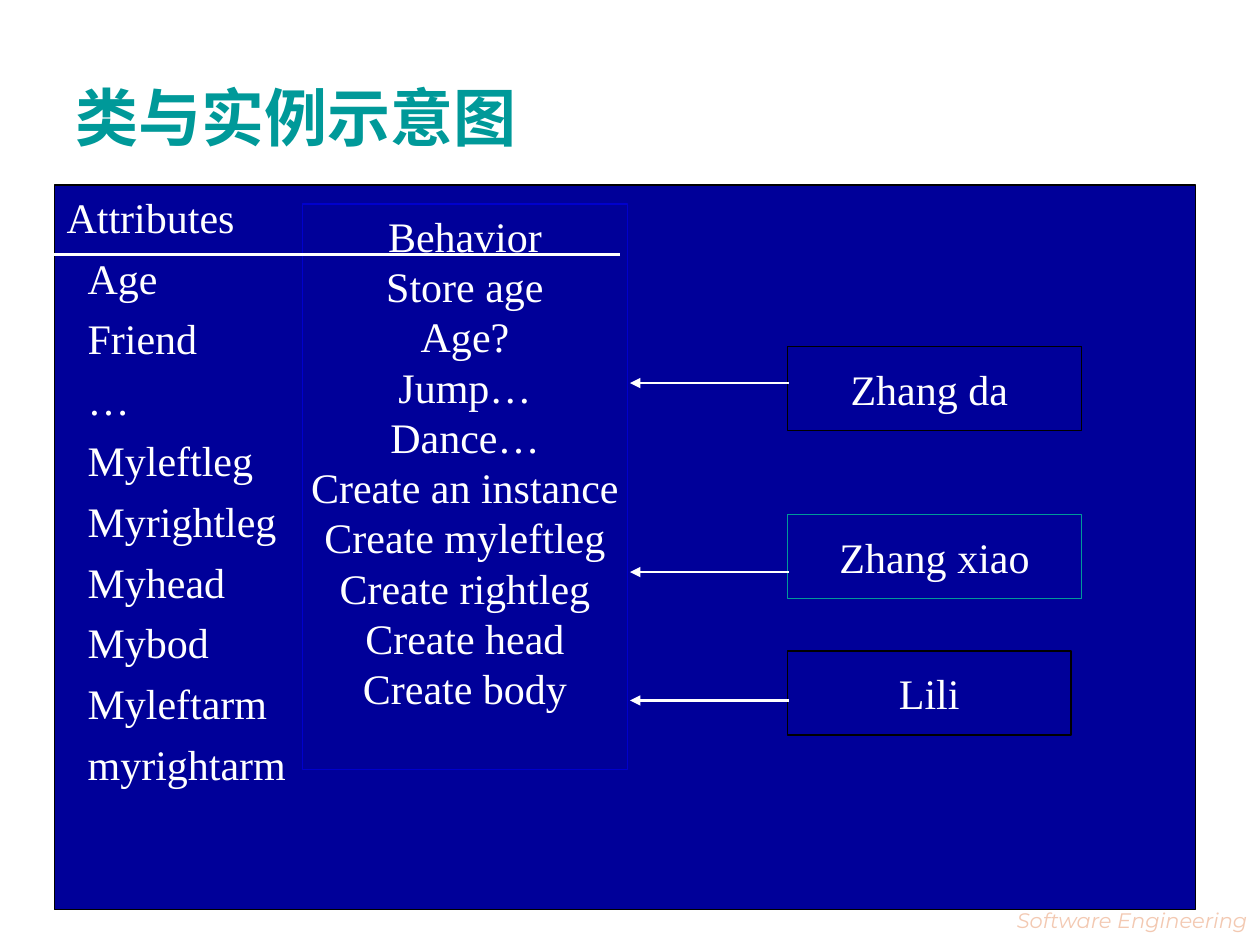
from dataclasses import dataclass

from lxml import etree
from pptx import Presentation
from pptx import util as u
from pptx.dml.color import RGBColor
from pptx.enum import shapes, text
from pptx.oxml.ns import qn


@dataclass(frozen=True)
class Theme:
    serif: str = "Times New Roman"
    sans: str = "Montserrat"
    navy: str = "000099"
    blue: str = "0000CC"
    teal: str = "009999"
    black: str = "000000"
    white: str = "FFFFFF"
    peach: str = "F3C9B2"
    title_size: float = 36
    body_size: float = 24
    footer_size: float = 12
    line_height: float = 28.75
    outline: float = 0.75
    rule: float = 1.5


class SlideBuilder:
    def __init__(self, theme, slide):
        self.theme = theme
        self.slide = slide

    def style(self, paragraph, size, color, font, align):
        paragraph.alignment = align
        paragraph.font.size = u.Pt(size)
        paragraph.font.name = font
        paragraph.font.color.rgb = RGBColor.from_string(color)

    def title(self, words, left, top, width, height):
        heading = self.slide.shapes.title
        heading.left, heading.top = u.Pt(left), u.Pt(top)
        heading.width, heading.height = u.Pt(width), u.Pt(height)
        frame = heading.text_frame
        frame.text = words
        frame.auto_size = text.MSO_AUTO_SIZE.NONE
        frame.vertical_anchor = text.MSO_ANCHOR.MIDDLE
        t = self.theme
        self.style(frame.paragraphs[0], t.title_size, t.teal, t.serif, text.PP_ALIGN.LEFT)
        frame.paragraphs[0].font.bold = True

    def box(self, lines, left, top, width, height, border,
            align=text.PP_ALIGN.CENTER, anchor=text.MSO_ANCHOR.MIDDLE, wrap=False):
        t = self.theme
        panel = self.slide.shapes.add_shape(
            shapes.MSO_SHAPE.RECTANGLE, u.Pt(left), u.Pt(top), u.Pt(width), u.Pt(height))
        panel.shadow.inherit = False
        panel.fill.solid()
        panel.fill.fore_color.rgb = RGBColor.from_string(t.navy)
        panel.line.color.rgb = RGBColor.from_string(border)
        panel.line.width = u.Pt(t.outline)
        frame = panel.text_frame
        frame.text = "\n".join(lines)
        frame.word_wrap = wrap
        frame.vertical_anchor = anchor
        for paragraph in frame.paragraphs:
            paragraph.line_spacing = u.Pt(t.line_height)
            self.style(paragraph, t.body_size, t.white, t.serif, align)
        return frame

    def line(self, x1, y1, x2, y2, arrow=False):
        t = self.theme
        rule = self.slide.shapes.add_connector(
            shapes.MSO_CONNECTOR.STRAIGHT, u.Pt(x1), u.Pt(y1), u.Pt(x2), u.Pt(y2))
        rule.line.color.rgb = RGBColor.from_string(t.white)
        rule.line.width = u.Pt(t.rule)
        properties = rule.element.spPr
        if arrow:
            etree.SubElement(properties.find(qn("a:ln")), qn("a:tailEnd"), type="triangle")
        etree.SubElement(properties, qn("a:effectLst"))

    def footer(self, words, left, top, width, height):
        t = self.theme
        note = self.slide.shapes.add_textbox(
            u.Pt(left), u.Pt(top), u.Pt(width), u.Pt(height))
        frame = note.text_frame
        frame.word_wrap = True
        frame.text = words
        self.style(frame.paragraphs[0], t.footer_size, t.peach, t.sans, text.PP_ALIGN.RIGHT)
        frame.paragraphs[0].font.italic = True


def main():
    deck = Presentation()
    deck.slide_width, deck.slide_height = u.Pt(720), u.Pt(540)
    theme = Theme()
    page = SlideBuilder(theme, deck.slides.add_slide(deck.slide_layouts[5]))

    page.footer("Software Engineering", 504.7, 514.8, 215.3, 21.6)
    page.title("类与实例示意图", 36, 21.6, 648, 90)

    # Class panel with its attributes, indented below their heading
    attributes = page.box(
        ["Attributes", "Age", "Friend", "…", "Myleftleg", "Myrightleg",
         "Myhead", "Mybod", "Myleftarm", "myrightarm"],
        31, 105.8, 652.3, 414, theme.black,
        text.PP_ALIGN.LEFT, text.MSO_ANCHOR.TOP, True)
    for attribute in attributes.paragraphs[1:]:
        attribute.space_before = u.Pt(6)
        attribute._p.get_or_add_pPr().set("marL", str(u.Pt(12)))

    # Behavior list, with one line of room left at the bottom
    behavior = page.box(
        ["Behavior", "Store age", "Age?", "Jump…", "Dance…", "Create an instance",
         "Create myleftleg", "Create rightleg", "Create head", "Create body"],
        172.8, 116.6, 185.8, 323.3, theme.blue)
    behavior.margin_bottom = u.Pt(3.6 + theme.line_height)

    # Instances: name, top, width, border, arrow height
    instances = [
        ("Zhang da ", 198, 168, theme.black, 218.9),
        ("Zhang xiao", 294, 168, theme.teal, 326.9),
        ("Lili", 372, 162, theme.black, 400.3),
    ]
    for name, top, width, border, _ in instances:
        page.box([name], 450, top, width, 48, border)
    for *_, arrow_y in instances:
        page.line(450.7, arrow_y, 360, arrow_y, arrow=True)

    # Rule below the column headings
    page.line(31, 145.4, 354.2, 145.4)

    deck.save("out.pptx")


if __name__ == "__main__":
    main()
